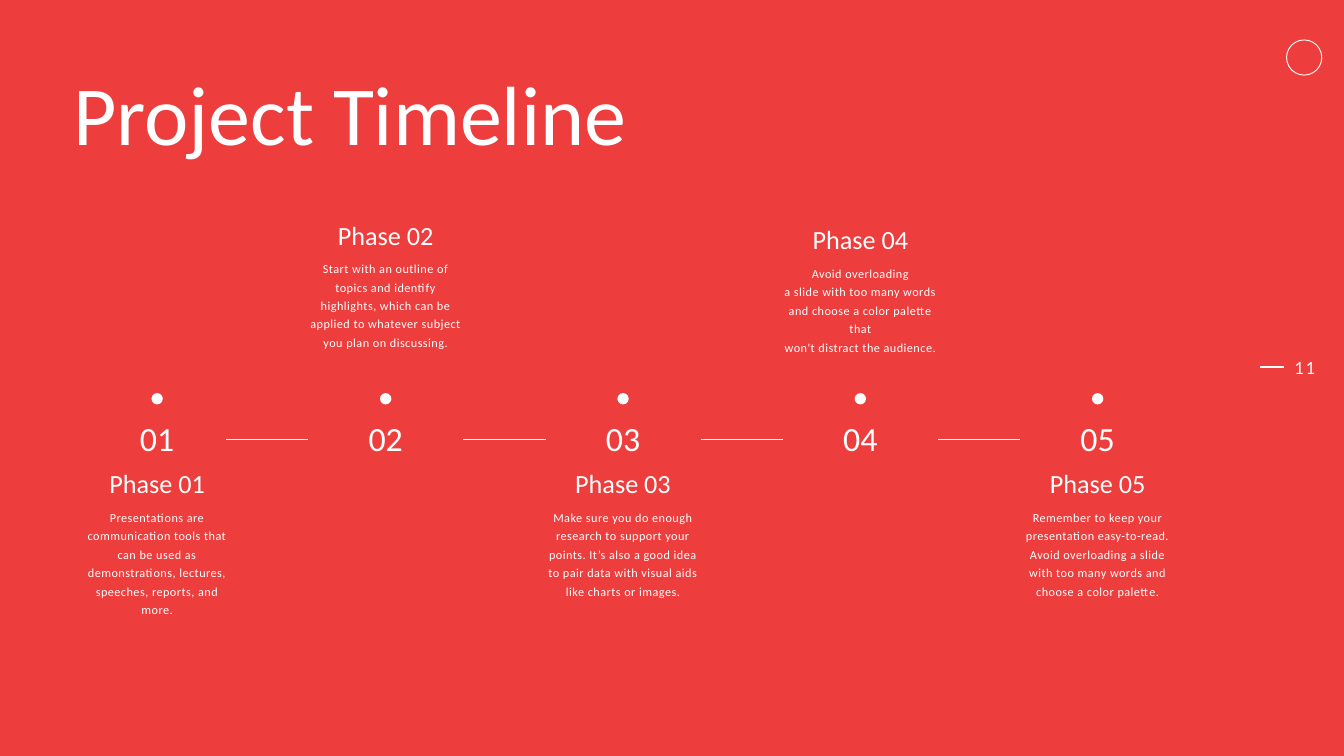
import pptx
import pptx.dml.color
import pptx.enum.shapes
import pptx.enum.text
import pptx.oxml
import pptx.oxml.ns
import pptx.util

Cm, Pt = pptx.util.Cm, pptx.util.Pt
ALIGN = pptx.enum.text.PP_ALIGN
COLORS = {"background": "ED3D3D", "ink": "FFFFFF"}
FONT = "Calibri"

PITCH = 8.97
PHASE_WIDTH = 5.84
FIRST_CENTER, SECOND_CENTER = 5.94, 14.58
FIRST_LINK_CENTER, LINK_WIDTH, LINK_Y = 10.1, 3.12, 16.6
DOT_TOP, DOT_SIZE = 14.86, 0.43
NUMBER_TOP = 15.9

# Top and height of each description block, and its paragraphs
PHASES = [
    (17.78, 5.28, ["Presentations are communication tools that can be used as "
                   "demonstrations, lectures, speeches, reports, and more."]),
    (8.38, 5.49, ["Start with an outline of topics and identify highlights, "
                  "which can be applied to whatever subject you plan on discussing."]),
    (17.78, 5.28, ["Make sure you do enough research to support your points. It’s also "
                   "a good idea to pair data with visual aids like charts or images."]),
    (8.56, 5.28, ["Avoid overloading",
                  "a slide with too many words and choose a color palette that",
                  "won't distract the audience."]),
    (17.78, 5.28, ["Remember to keep your presentation easy-to-read. Avoid overloading "
                   "a slide with too many words and choose a color palette."]),
]


def color(key):
    return pptx.dml.color.RGBColor.from_string(COLORS[key])


def add_text(slide, box, lines, size, leading, align=ALIGN.CENTER, spacing=0):
    frame = slide.shapes.add_textbox(*map(Cm, box)).text_frame
    frame.margin_left = frame.margin_right = frame.margin_top = frame.margin_bottom = 0
    frame.word_wrap = True
    frame.auto_size = pptx.enum.text.MSO_AUTO_SIZE.SHAPE_TO_FIT_TEXT
    frame.text = "\n".join(lines)
    for paragraph in frame.paragraphs:
        paragraph.alignment = align
        paragraph.line_spacing = Pt(leading)
        for run in paragraph.runs:
            run.font.name = FONT
            run.font.size = Pt(size)
            run.font.color.rgb = color("ink")
            if spacing:
                run._r.get_or_add_rPr().set("spc", str(int(spacing * 100)))


def add_circle(slide, left, top, size):
    circle = slide.shapes.add_shape(
        pptx.enum.shapes.MSO_SHAPE.OVAL, Cm(left), Cm(top), Cm(size), Cm(size))
    circle.shadow.inherit = False
    return circle


def add_rule(slide, left, y, width, weight):
    """Draw a horizontal line."""
    rule = slide.shapes.add_connector(
        pptx.enum.shapes.MSO_CONNECTOR.STRAIGHT, Cm(left), Cm(y), Cm(left + width), Cm(y))
    rule.line.color.rgb = color("ink")
    rule.line.width = Pt(weight)
    rule._element.spPr.append(pptx.oxml.parse_xml(
        f'<a:effectLst {pptx.oxml.ns.nsdecls("a")}/>'))


def add_corner_ring(slide, left, top, size):
    ring = add_circle(slide, left, top, size)
    ring.fill.background()
    ring.line.color.rgb = color("ink")
    ring.line.width = Pt(1)


def add_page_marker(slide, left, top, width, height):
    add_rule(slide, left, top + height / 2, 0.89, 2.75)
    add_text(slide, (left + width - 1.27, top, 1.27, height), ["11"], 20, 24,
             ALIGN.RIGHT, spacing=2)


def add_milestone(slide, center, number):
    dot = add_circle(slide, center - DOT_SIZE / 2, DOT_TOP, DOT_SIZE)
    dot.fill.solid()
    dot.fill.fore_color.rgb = color("ink")
    dot.line.fill.background()
    add_text(slide, (center - 0.89, NUMBER_TOP, 1.78, 1.45), [number], 36.3, 39.9)


def add_description(slide, left, top, width, height, heading, lines):
    heading_width, body_offset = 4.17, 1.37
    add_text(slide, (left + (width - heading_width) / 2, top, heading_width, 1.12),
             [heading], 28.1, 30.9)
    add_text(slide, (left, top + body_offset, width, height - body_offset),
             lines, 13.1, 19.7, spacing=0.5)


def add_timeline(slide):
    for index in range(len(PHASES) - 1):
        link_center = FIRST_LINK_CENTER + index * PITCH
        add_rule(slide, link_center - LINK_WIDTH / 2, LINK_Y, LINK_WIDTH, 0.75)
    for index, (top, height, lines) in enumerate(PHASES):
        center = SECOND_CENTER + (index - 1) * PITCH if index else FIRST_CENTER
        number = f"{index + 1:02d}"
        add_milestone(slide, center, number)
        add_description(slide, center - PHASE_WIDTH / 2, top, PHASE_WIDTH, height,
                        f"Phase {number}", lines)


def main():
    deck = pptx.Presentation()
    deck.slide_width, deck.slide_height = Cm(50.8), Cm(28.58)
    slide = deck.slides.add_slide(deck.slide_layouts[6])
    slide.background.fill.solid()
    slide.background.fill.fore_color.rgb = color("background")

    add_corner_ring(slide, 48.63, 1.51, 1.33)
    add_page_marker(slide, 47.64, 13.44, 2.07, 0.86)
    add_text(slide, (2.77, 2.64, 23.98, 3.58), ["Project Timeline"], 90, 99, ALIGN.LEFT)
    add_timeline(slide)
    deck.save("out.pptx")


if __name__ == "__main__":
    main()
